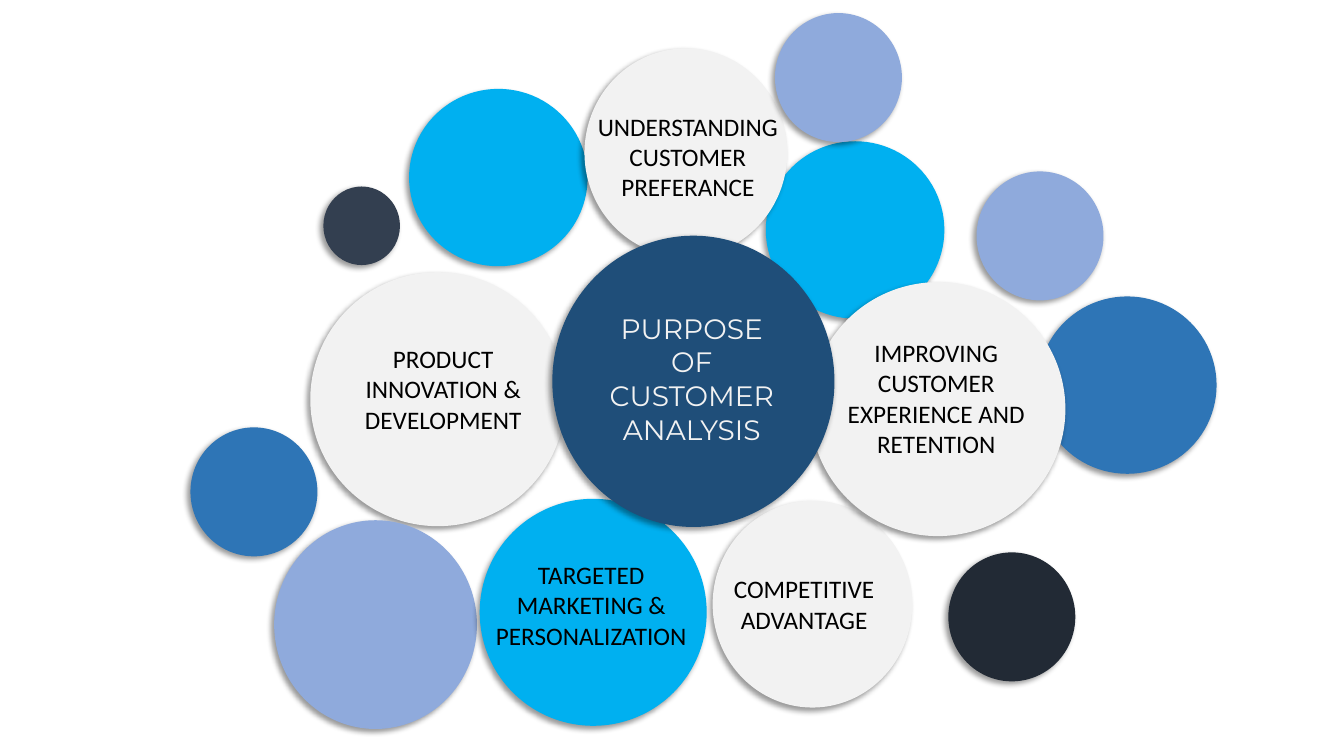
import lxml.etree
import pptx
import pptx.dml.color
import pptx.enum.shapes
import pptx.enum.text
import pptx.oxml.ns
import pptx.util
from pptx.util import Cm

PALE, SKY, LILAC, BLUE = "F2F2F2", "00B0F0", "8FAADC", "2E75B6"
NAVY, SLATE, INK = "1F4E79", "333F50", "222A35"

DOT, SMALL, MEDIUM = (1.93, 1.98), (3.2, 3.25), (4.5, 4.47)
LARGE, HUGE, HUB = (5.11, 5.26), (6.43, 6.4), (7.11, 7.34)
TARGETED, COMPETITIVE = (5.72, 5.72), (5.03, 5.21)

BUBBLES = [
    (7.82, 6.86, HUGE, PALE),
    (19.3, 3.56, MEDIUM, SKY),
    (10.31, 2.24, MEDIUM, SKY),
    (23.9, 13.92, SMALL, INK),
    (24.61, 4.32, SMALL, LILAC),
    (6.91, 13.11, LARGE, LILAC),
    (4.8, 10.77, SMALL, BLUE),
    (12.09, 12.57, TARGETED, SKY),
    (14.73, 1.22, LARGE, PALE),
    (19.53, 0.33, SMALL, LILAC),
    (17.96, 12.62, COMPETITIVE, PALE),
    (26.16, 7.47, MEDIUM, BLUE),
    (8.15, 4.7, DOT, SLATE),
    (20.42, 7.11, HUGE, PALE),
]

LABELS = [
    (14.3, 2.67, 6.07, 2.57, "UNDERSTANDING CUSTOMER PREFERANCE"),
    (8.92, 8.53, 4.5, 2.57, "PRODUCT INNOVATION & DEVELOPMENT"),
    (21.08, 8.38, 5.03, 3.33, "IMPROVING CUSTOMER EXPERIENCE AND RETENTION"),
    (11.84, 13.97, 6.12, 2.57, "TARGETED MARKETING & PERSONALIZATION"),
    (17.32, 14.33, 5.89, 1.8, "COMPETITIVE ADVANTAGE"),
]


def color(value):
    return pptx.dml.color.RGBColor.from_string(value)


def write(frame, text, font="Calibri", size=18, ink="000000"):
    for index, line in enumerate(text.split("\n")):
        para = frame.add_paragraph() if index else frame.paragraphs[0]
        para.alignment = pptx.enum.text.PP_ALIGN.CENTER
        span = para.add_run()
        span.text = line
        span.font.name = font
        span.font.size = pptx.util.Pt(size)
        span.font.color.rgb = color(ink)


class BubbleSlide:
    """Draws shadowed circles and centred labels on one slide."""

    def __init__(self, page):
        self.page = page
        self.shadow = {"blurRad": 4, "dist": 3}
        self.shadow_angle = 135
        self.shadow_opacity = 40

    def add_shadow(self, shape):
        shape.shadow.inherit = False
        qn = pptx.oxml.ns.qn
        effects = shape._element.spPr.find(qn("a:effectLst"))
        shadow = lxml.etree.SubElement(effects, qn("a:outerShdw"))
        for name, points in self.shadow.items():
            shadow.set(name, str(int(pptx.util.Pt(points))))
        shadow.set("dir", str(self.shadow_angle * 60000))
        shadow.set("algn", "tr")
        shadow.set("rotWithShape", "0")
        tint = lxml.etree.SubElement(shadow, qn("a:srgbClr"), val="000000")
        lxml.etree.SubElement(tint, qn("a:alpha"), val=str(self.shadow_opacity * 1000))

    def bubble(self, left, top, size, fill):
        width, height = size
        shape = self.page.shapes.add_shape(
            pptx.enum.shapes.MSO_SHAPE.OVAL, Cm(left), Cm(top), Cm(width), Cm(height)
        )
        shape.fill.solid()
        shape.fill.fore_color.rgb = color(fill)
        shape.line.fill.background()
        self.add_shadow(shape)

    def label(self, left, top, width, height, text, **style):
        box = self.page.shapes.add_textbox(Cm(left), Cm(top), Cm(width), Cm(height))
        box.text_frame.word_wrap = True
        box.text_frame.auto_size = pptx.enum.text.MSO_AUTO_SIZE.SHAPE_TO_FIT_TEXT
        write(box.text_frame, text, **style)


def main():
    deck = pptx.Presentation()
    deck.slide_width, deck.slide_height = Cm(33.87), Cm(19.05)
    slide = BubbleSlide(deck.slides.add_slide(deck.slide_layouts[6]))
    for bubble in BUBBLES:
        slide.bubble(*bubble)
    for label in LABELS:
        slide.label(*label)
    slide.bubble(13.92, 5.94, HUB, NAVY)
    slide.label(14.73, 7.72, 5.41, 4.44, "PURPOSE\nOF CUSTOMER ANALYSIS",
                font="Montserrat", size=20, ink=PALE)
    deck.save("out.pptx")


if __name__ == "__main__":
    main()
